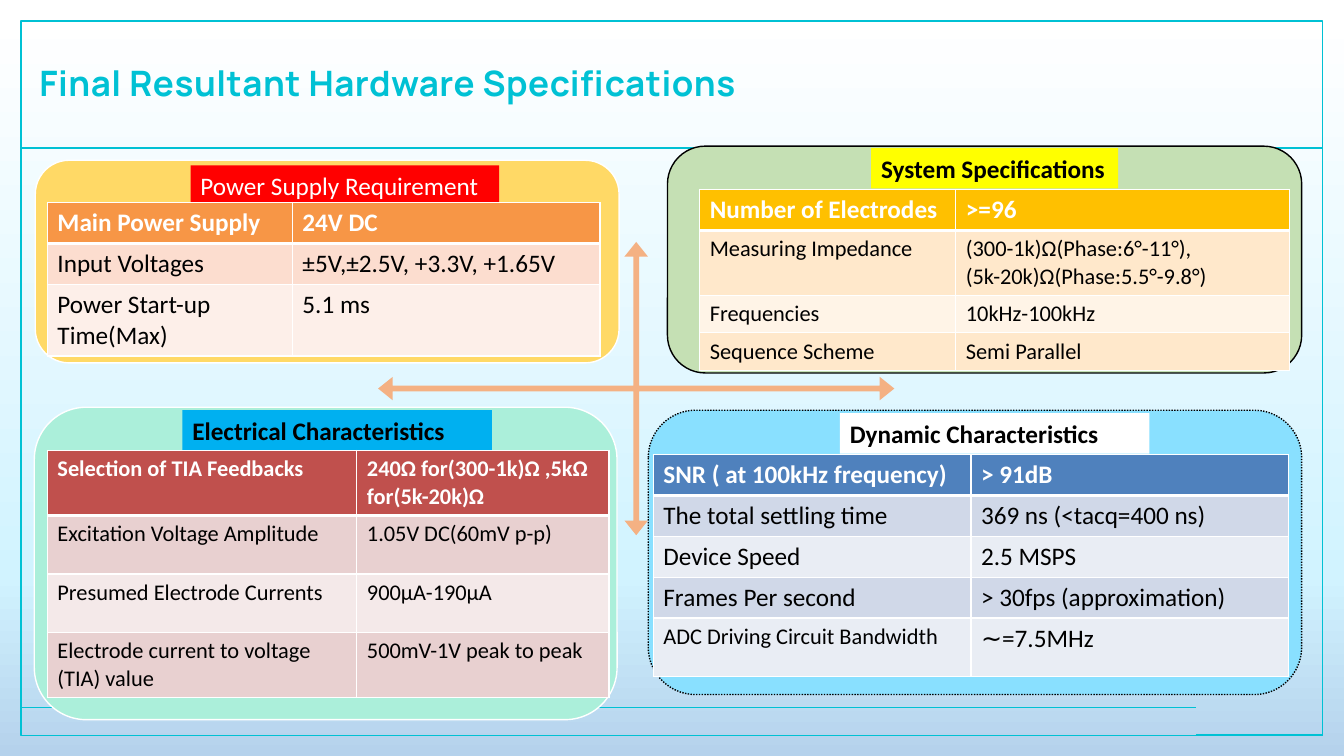
from pptx import Presentation
from pptx import util as u
from pptx.dml.color import RGBColor
from pptx.enum import dml, shapes, text
from pptx.oxml import parse_xml
from pptx.oxml.ns import nsdecls
from lxml import etree

HUES = {"teal": "00C1D4", "white": "FFFFFF", "black": "000000", "arrow": "F4B183"}
STOPS = [(2, "FFFFFF"), (76, "D1F3FF"), (100, "B5D2EC")]
TITLE = "Final Resultant Hardware Specifications"
RULES = [(0.21, 1.47, 13.12), (11.86, 7.29, 13.12), (0.21, 7.02, 11.86)]

CARDS = [
    {"panel": (0.35, 1.59, 5.79, 2.01), "fill": "FFD966", "edge": "white", "dots": False,
     "tag": ("Power Supply Requirement", 1.89, 1.64, 3.06, "FF0000", "white", False),
     "at": (0.47, 2.01), "cols": (2.43, 3.05), "rows": (0.4, 0.4, 0.7),
     "bands": ("F79646", "FCDDCF", "FDEFE9"),
     "cells": [("Main Power Supply", "24V DC", 18, 18),
               ("Input Voltages", "±5V,±2.5V, +3.3V, +1.65V", 18, 18),
               ("Power Start-up\nTime(Max)", "5.1 ms", 18, 18)]},
    {"panel": (6.62, 1.45, 6.29, 2.25), "fill": "C5E0B4", "edge": "black", "dots": False,
     "tag": ("System Specifications", 8.64, 1.47, 2.45, "FFFF00", "black", True),
     "at": (6.94, 1.88), "cols": (2.54, 3.31), "rows": (0.4, 0.63, 0.37, 0.37),
     "bands": ("FFC000", "FFE8CB", "FFF4E7"),
     "cells": [("Number of Electrodes", ">=96", 18, 18),
               ("Measuring Impedance",
                "(300-1k)Ω(Phase:6°-11°),\n(5k-20k)Ω(Phase:5.5°-9.8°)", 16, 16),
               ("Frequencies", "10kHz-100kHz", 16, 16),
               ("Sequence Scheme", "Semi Parallel", 16, 16)]},
    {"panel": (0.34, 4.04, 5.78, 3.1), "fill": "ABEFDA", "edge": "white", "dots": False,
     "tag": ("Electrical Characteristics", 1.81, 4.07, 3.07, "00B0F0", "black", True),
     "at": (0.47, 4.47), "cols": (3.07, 2.5), "rows": (0.64, 0.58, 0.58, 0.64),
     "bands": ("C0504D", "E8D0D0", "F4E9E9"),
     "cells": [("Selection of TIA Feedbacks", "240Ω for(300-1k)Ω ,5kΩ for(5k-20k)Ω", 16, 16),
               ("Excitation Voltage Amplitude", "1.05V DC(60mV p-p)", 16, 16),
               ("Presumed Electrode Currents", "900μA-190μA", 16, 16),
               ("Electrode current to voltage\n(TIA) value", "500mV-1V peak to peak", 16, 16)]},
    {"panel": (6.43, 4.07, 6.48, 2.82), "fill": "89E0FF", "edge": "black", "dots": True,
     "tag": ("Dynamic Characteristics", 8.33, 4.1, 3.07, "FFFFFF", "black", True),
     "at": (6.48, 4.51), "cols": (3.15, 3.15), "rows": (0.4, 0.4, 0.4, 0.4, 0.58),
     "bands": ("4F81BD", "D0D8E8", "E9EDF4"),
     "cells": [("SNR ( at 100kHz frequency)", "> 91dB", 18, 18),
               ("The total settling time", "369 ns (<tacq=400 ns)", 18, 18),
               ("Device Speed", "2.5 MSPS", 18, 18),
               ("Frames Per second", "> 30fps (approximation)", 18, 18),
               ("ADC Driving Circuit Bandwidth", "∼=7.5MHz", 16, 18)]},
]


def rgb(hue):
    return RGBColor.from_string(HUES.get(hue, hue))


def style(frame, size, hue, bold, face="Calibri"):
    for para in frame.paragraphs:
        para.alignment = text.PP_ALIGN.LEFT
        for run in para.runs:
            run.font.name, run.font.size, run.font.bold = face, u.Pt(size), bold
            run.font.color.rgb = rgb(hue)


def shape(kind, box, fill=None, edge=None):
    item = slide.shapes.add_shape(kind, *map(u.Inches, box))
    item.shadow.inherit = False
    if fill:
        item.fill.solid()
        item.fill.fore_color.rgb = rgb(fill)
    else:
        item.fill.background()
    if edge:
        item.line.color.rgb = rgb(edge)
        item.line.width = u.Pt(1)
    else:
        item.line.fill.background()
    return item


def border(cell, sides):
    props = cell._tc.get_or_add_tcPr()
    for spot, (side, width) in enumerate(sides):
        props.insert(spot, parse_xml(
            f'<a:ln{side} {nsdecls("a")} w="{u.Pt(width)}"><a:solidFill>'
            f'<a:srgbClr val="{HUES["white"]}"/></a:solidFill></a:ln{side}>'))


def add_grid(card):
    cols, rows = card["cols"], card["rows"]
    box = (*card["at"], sum(cols), sum(rows))
    grid = slide.shapes.add_table(len(rows), len(cols), *map(u.Inches, box)).table
    for col, wide in zip(grid.columns, cols):
        col.width = u.Inches(wide)
    head, odd, even = card["bands"]
    last = len(rows) - 1
    for r, (tall, line) in enumerate(zip(rows, card["cells"])):
        grid.rows[r].height = u.Inches(tall)
        for c in range(2):
            cell = grid.cell(r, c)
            cell.text_frame.text = line[c]
            style(cell.text_frame, line[c + 2], "black" if r else "white", r == 0)
            cell.fill.solid()
            cell.fill.fore_color.rgb = rgb(head if r == 0 else odd if r % 2 else even)
            sides = [("R" if c else "L", 1)]
            if r == 0:
                sides += [("T", 1), ("B", 3)]
            elif r == last:
                sides.append(("B", 1))
            border(cell, sides)


deck = Presentation()
deck.slide_width, deck.slide_height = u.Inches(13.33), u.Inches(7.5)
slide = deck.slides.add_slide(deck.slide_layouts[5])

stops = "".join(f'<a:gs pos="{pos * 1000}"><a:srgbClr val="{hue}"/></a:gs>' for pos, hue in STOPS)
slide.element.cSld.insert(0, parse_xml(
    f'<p:bg {nsdecls("p", "a")}><p:bgPr><a:gradFill rotWithShape="1"><a:gsLst>{stops}</a:gsLst>'
    '<a:lin ang="5400000" scaled="0"/></a:gradFill><a:effectLst/></p:bgPr></p:bg>'))

shape(shapes.MSO_SHAPE.RECTANGLE, (0.21, 0.21, 12.91, 7.09), edge="teal")
for left, top, right in RULES:
    rule = slide.shapes.add_connector(
        shapes.MSO_CONNECTOR.STRAIGHT, *map(u.Inches, (left, top, right, top)))
    rule.line.color.rgb = rgb("teal")
    rule.line.width = u.Pt(1)
    etree.SubElement(
        rule._element.spPr, "{http://schemas.openxmlformats.org/drawingml/2006/main}effectLst")

title = slide.shapes.title
title.left, title.top, title.width, title.height = map(u.Inches, (0.39, 0.33, 11, 1.02))
frame = title.text_frame
frame.text = TITLE
frame.word_wrap = True
frame.auto_size = text.MSO_AUTO_SIZE.NONE
frame.vertical_anchor = text.MSO_ANCHOR.MIDDLE
frame.margin_left = frame.margin_right = frame.margin_top = 0
frame.margin_bottom = u.Inches(0.04)
style(frame, 25, "teal", True, "Manrope")
frame.paragraphs[0].runs[0].font._element.set("spc", "40")

cross = shape(shapes.MSO_SHAPE.QUAD_ARROW, (3.75, 2.4, 5.12, 2.91), "arrow")
for spot, ratio in enumerate((0.02, 0.04, 0.05)):
    cross.adjustments[spot] = ratio

for card in CARDS:
    panel = shape(shapes.MSO_SHAPE.ROUNDED_RECTANGLE, card["panel"], card["fill"], card["edge"])
    if card["dots"]:
        panel.line.dash_style = dml.MSO_LINE.ROUND_DOT

for card in CARDS:
    name, left, top, wide, fill, hue, bold = card["tag"]
    tag = shape(shapes.MSO_SHAPE.RECTANGLE, (left, top, wide, 0.4), fill)
    tag.text_frame.text = name
    tag.text_frame.word_wrap = True
    tag.text_frame.vertical_anchor = text.MSO_ANCHOR.TOP
    style(tag.text_frame, 18, hue, bold)
    add_grid(card)

deck.save("out.pptx")
